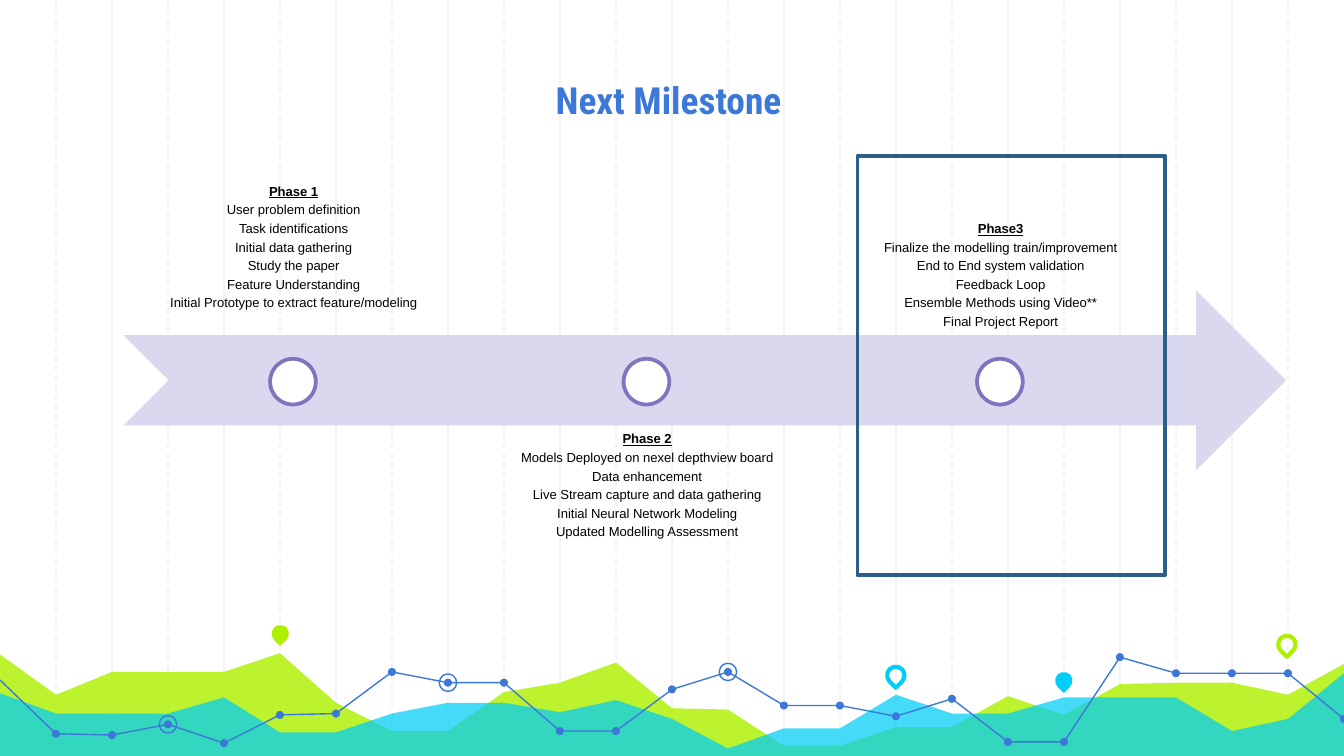
from dataclasses import dataclass
from lxml.etree import SubElement
from pptx import Presentation
from pptx.dml.color import RGBColor as Rgb
from pptx.enum.dml import MSO_LINE as Dash
from pptx.enum.shapes import MSO_CONNECTOR as Wire, MSO_SHAPE as Kind
from pptx.enum.text import MSO_ANCHOR as Anchor, MSO_AUTO_SIZE as Fit, PP_ALIGN as Align
from pptx.oxml.ns import qn
from pptx.util import Inches, Pt


@dataclass(frozen=True)
class Theme:
    blue: str = "3C78D8"
    lime: str = "AFF000"
    cyan: str = "00CEF6"
    grid: str = "F3F3F3"
    band: str = "DAD8EE"
    ring: str = "7E75BF"
    frame: str = "2B5F8A"
    white: str = "FFFFFF"
    ink: str = "000000"
    head: str = "Roboto Condensed"
    body: str = "Arial"
    big: int = 20
    small: int = 7


theme = Theme()
deck = Presentation()
deck.slide_width = Inches(10)
deck.slide_height = Inches(10 * 9 / 16)
slide = deck.slides.add_slide(deck.slide_layouts[5])
shapes = slide.shapes
step = 10 / 24


def paint(shape, fill=None, line=None, width=0.75):
    shape.shadow.inherit = False
    if fill:
        shape.fill.solid()
        shape.fill.fore_color.rgb = Rgb.from_string(fill)
    else:
        shape.fill.background()
    if line:
        shape.line.color.rgb = Rgb.from_string(line)
        shape.line.width = Pt(width)
    else:
        shape.line.fill.background()


def add(kind, x, y, w, h, **style):
    shape = shapes.add_shape(kind, Inches(x), Inches(y), Inches(w), Inches(h))
    paint(shape, **style)
    return shape


for i in [*range(2, 24, 2), *range(1, 24, 2)]:
    x = Inches(i * step)
    rule = shapes.add_connector(Wire.STRAIGHT, x, 0, x, Inches(5.65))
    rule.line.color.rgb = Rgb.from_string(theme.grid)
    rule.line.width = Pt(0.75)
    if i % 2:
        rule.line.dash_style = Dash.DASH
    SubElement(rule.element.spPr, qn("a:effectLst"))

hills = [
    (theme.lime, 82, [4.87, 5.17, 5, 5, 5, 4.86, 5.23, 5.44, 5.44, 5.15, 5.08, 4.93, 5.27,
                      5.28, 5.55, 5.55, 5.41, 5.41, 5.18, 5.32, 5.09, 5.08, 5.08, 5.17, 4.94]),
    (theme.cyan, 73, [5.16, 5.31, 5.31, 5.31, 5.19, 5.45, 5.45, 5.31, 5.23, 5.23, 5.3, 5.21, 5.35,
                      5.57, 5.42, 5.42, 5.17, 5.31, 5.31, 5.19, 5.19, 5.19, 5.44, 5.35, 5.01]),
]
for color, alpha, tops in hills:
    pen = shapes.build_freeform(Inches(-0.03), Inches(5.64))
    crest = [(i * step, y) for i, y in enumerate(tops)]
    pen.add_line_segments([(Inches(x), Inches(y)) for x, y in crest + [(10.02, 5.64)]])
    hill = pen.convert_to_shape()
    paint(hill, color)
    tint = hill.element.spPr.find(qn("a:solidFill"))[0]
    SubElement(tint, qn("a:alpha"), val=str(alpha * 1000))

pins = [
    (2.02, 4.65, {"fill": theme.lime}),
    (6.6, 4.96, {"line": theme.cyan, "width": 2.25}),
    (7.85, 5, {"fill": theme.cyan}),
    (9.51, 4.73, {"line": theme.lime, "width": 2.25}),
]
for x, y, style in pins:
    add(Kind.TEAR, x, y, 0.13, 0.13, **style).rotation = 135

trend = [5.06, 5.46, 5.47, 5.39, 5.53, 5.32, 5.31, 5, 5.08, 5.08, 5.44, 5.44, 5.13,
         5, 5.25, 5.25, 5.33, 5.2, 5.52, 5.52, 4.89, 5.01, 5.01, 5.01, 5.35]
spots = [(i * step, y) for i, y in enumerate(trend)]
for first, last in ((0, 11), (11, 20), (20, 24)):
    x, y = spots[first]
    pen = shapes.build_freeform(Inches(x), Inches(y))
    pen.add_line_segments(
        [(Inches(x), Inches(y)) for x, y in spots[first + 1:last + 1]], close=False)
    paint(pen.convert_to_shape(), line=theme.blue)
for x, y in spots[1:]:
    add(Kind.OVAL, x - 0.03, y - 0.03, 0.06, 0.06, fill=theme.blue)
for i in (8, 3, 13):
    x, y = spots[i]
    add(Kind.OVAL, x - 0.065, y - 0.065, 0.13, 0.13, line=theme.blue)

title = shapes.title
title.element.getparent().append(title.element)
title.left, title.top = Inches(1.15), Inches(0.23)
title.width, title.height = Inches(7.65), Inches(0.78)
frame = title.text_frame
frame.text = "Next Milestone"
frame.auto_size = Fit.NONE
frame.vertical_anchor = Anchor.BOTTOM
frame.margin_left = frame.margin_right = frame.margin_top = frame.margin_bottom = Inches(0.1)
para = frame.paragraphs[0]
para.alignment = Align.CENTER
font = para.runs[0].font
font.name, font.size, font.bold = theme.head, Pt(theme.big), True
font.color.rgb = Rgb.from_string(theme.blue)

add(Kind.NOTCHED_RIGHT_ARROW, 0.92, 2.16, 8.65, 1.34, fill=theme.band)

phases = [
    (1.02, Anchor.BOTTOM, [
        "Phase 1", "User problem definition", "Task identifications", "Initial data gathering",
        "Study the paper", "Feature Understanding",
        "Initial Prototype to extract feature/modeling"]),
    (3.17, Anchor.TOP, [
        "Phase 2", "Models Deployed on nexel depthview board", "Data enhancement",
        "Live Stream capture and data gathering", "Initial Neural Network Modeling",
        "Updated Modelling Assessment"]),
    (1.16, Anchor.BOTTOM, [
        "Phase3", "Finalize the modelling train/improvement", "End to End system validation",
        "Feedback Loop", "Ensemble Methods using Video**", "Final Project Report"]),
]
for i, (top, anchor, lines) in enumerate(phases):
    left = 0.93 + i * 2.63
    box = shapes.add_textbox(Inches(left), Inches(top), Inches(2.51), Inches(1.34))
    frame = box.text_frame
    frame.word_wrap = True
    frame.vertical_anchor = anchor
    frame.margin_left = frame.margin_right = frame.margin_top = frame.margin_bottom = Inches(0.05)
    frame.text = "\n".join(lines)
    for n, para in enumerate(frame.paragraphs):
        para.alignment = Align.CENTER
        para.line_spacing = 0.9
        para.space_after = Pt(2.4)
        font = para.runs[0].font
        font.name, font.size = theme.body, Pt(theme.small)
        font.bold = font.underline = n == 0
        font.color.rgb = Rgb.from_string(theme.ink)
    add(Kind.OVAL, left + 1.08, 2.67, 0.34, 0.34, fill=theme.white, line=theme.ring, width=2)

add(Kind.RECTANGLE, 6.38, 1.16, 2.29, 3.12, line=theme.frame, width=2)

deck.save("out.pptx")
